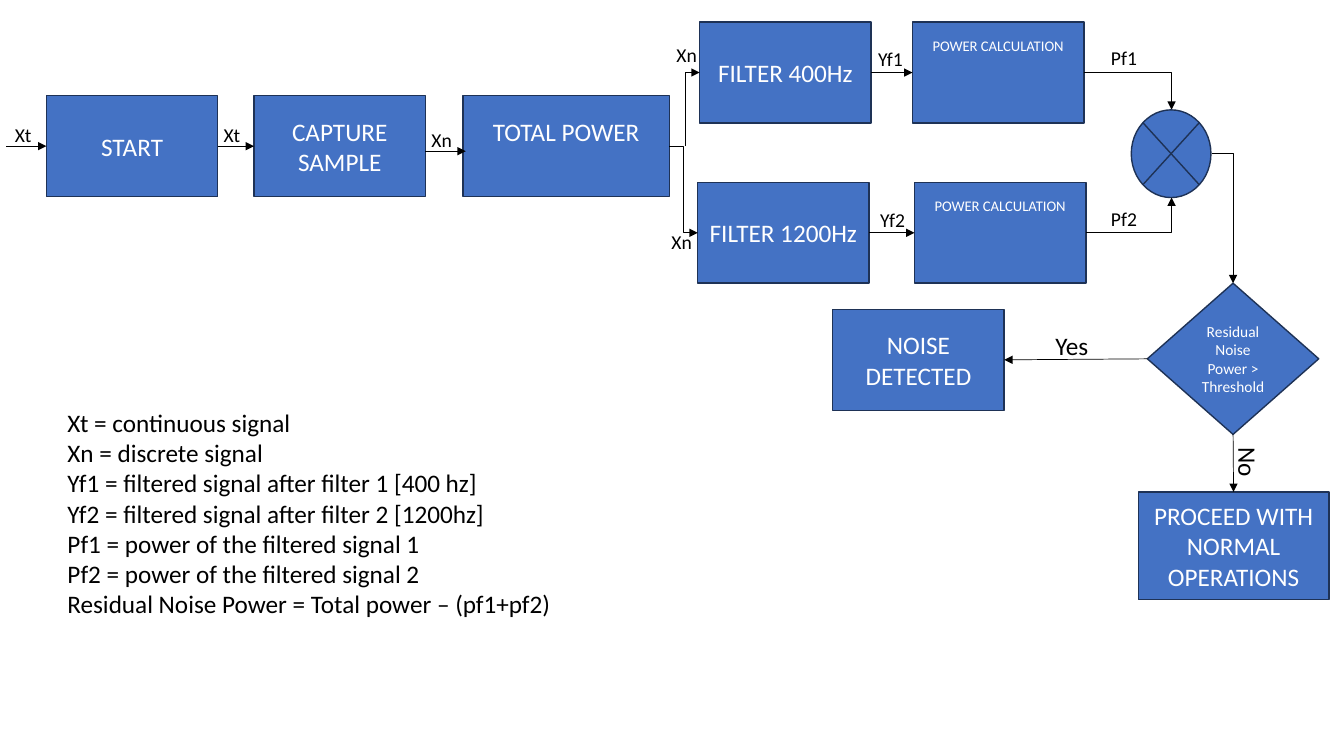
from lxml.etree import SubElement
from pptx import Presentation
from pptx.dml.color import RGBColor
from pptx.enum.shapes import MSO_CONNECTOR as Connector, MSO_SHAPE as Shape
from pptx.enum.text import MSO_ANCHOR as Anchor, MSO_AUTO_SIZE as AutoSize, PP_ALIGN as Align
from pptx.oxml.ns import qn
from pptx.util import Inches, Pt

FONT = "Calibri"
BLUE, NAVY, WHITE, BLACK = "4472C4", "1E3256", "FFFFFF", "000000"
STEP_W, STEP_H = 1.7, 1
TOP, LEFT, BOTTOM, RIGHT = range(4)
LEGEND = [
    "Xt = continuous signal",
    "Xn = discrete signal",
    "Yf1 = filtered signal after filter 1 [400 hz]",
    "Yf2 = filtered signal after filter 2 [1200hz]",
    "Pf1 = power of the filtered signal 1",
    "Pf2 = power of the filtered signal 2",
    "Residual Noise Power = Total power – (pf1+pf2)",
]


def color(value):
    return RGBColor.from_string(value)


def style_text(frame, size, ink, align):
    for paragraph in frame.paragraphs:
        paragraph.alignment = align
        for run in paragraph.runs:
            run.font.name = FONT
            run.font.size = Pt(size)
            run.font.color.rgb = color(ink)


def add_node(slide, left, top, text="", width=STEP_W, height=STEP_H, size=18,
             kind=Shape.FLOWCHART_PROCESS, space_below=0.05):
    node = slide.shapes.add_shape(kind, Inches(left), Inches(top), Inches(width), Inches(height))
    node.shadow.inherit = False
    node.fill.solid()
    node.fill.fore_color.rgb = color(BLUE)
    node.line.color.rgb = color(NAVY)
    node.line.width = Pt(1)
    if text:
        frame = node.text_frame
        frame.text = text
        frame.word_wrap = True
        frame.vertical_anchor = Anchor.MIDDLE
        frame.margin_bottom = Inches(space_below)
        style_text(frame, size, WHITE, Align.CENTER)
    return node


def add_label(slide, left, top, text, width=0.45, height=0.34, size=14, rotation=0):
    label = slide.shapes.add_textbox(Inches(left), Inches(top), Inches(width), Inches(height))
    label.rotation = rotation
    frame = label.text_frame
    frame.text = text
    frame.word_wrap = False
    frame.auto_size = AutoSize.SHAPE_TO_FIT_TEXT
    style_text(frame, size, BLACK, Align.LEFT)


def add_arrow(slide, start, end, kind=Connector.STRAIGHT, preset=None):
    arrow = slide.shapes.add_connector(kind, *map(Inches, start + end))
    arrow.line.color.rgb = color(BLACK)
    arrow.line.width = Pt(0.5)
    properties = arrow._element.spPr
    SubElement(arrow.line._get_or_add_ln(), qn("a:tailEnd"), type="triangle")
    SubElement(properties, qn("a:effectLst"))
    if preset:
        properties.find(qn("a:prstGeom")).set("prst", preset)
    return arrow


def add_corner(slide, start, end):
    return add_arrow(slide, start, end, Connector.ELBOW, "bentConnector2")


def add_rising_corner(slide, start, end):
    middle_x, middle_y = (start[0] + end[0]) / 2, (start[1] + end[1]) / 2
    half_run, half_rise = (end[0] - start[0]) / 2, (start[1] - end[1]) / 2
    corner = add_corner(slide, (middle_x + half_rise, middle_y + half_run),
                        (middle_x - half_rise, middle_y - half_run))
    corner._element.spPr.find(qn("a:xfrm")).set("rot", str(90 * 60000))


def join(slide, source, source_side, target, target_side):
    arrow = add_arrow(slide, (0, 0), (1, 1))
    arrow.begin_connect(source, source_side)
    arrow.end_connect(target, target_side)


def build_input_chain(slide, left, top):
    axis = top + STEP_H / 2
    start = add_node(slide, left, top, "START")
    capture = add_node(slide, left + 2.06, top, "CAPTURE SAMPLE")
    add_node(slide, left + 4.13, top, "TOTAL POWER", width=2.05, space_below=0.35)
    add_arrow(slide, (left - 0.4, axis), (left, axis)).end_connect(start, LEFT)
    join(slide, start, RIGHT, capture, LEFT)
    add_arrow(slide, (left + 3.76, axis + 0.05), (left + 4.16, axis + 0.05))
    add_label(slide, left - 0.41, top + 0.22, "Xt", width=0.37)
    add_label(slide, left + 1.66, top + 0.22, "Xt", width=0.37)
    add_label(slide, left + 3.72, top + 0.27, "Xn", width=0.41)


def build_filter_branch(slide, left, top, power_left, name, number, junction):
    axis = top + STEP_H / 2
    band = add_node(slide, left, top, name)
    power = add_node(slide, power_left, top, "POWER CALCULATION", size=10.5, space_below=0.58)
    join(slide, band, RIGHT, power, LEFT)
    add_corner(slide, (power_left + STEP_W, axis), junction)
    add_label(slide, power_left - 0.44, top + 0.2, f"Yf{number}")
    add_label(slide, 10.92, top + 0.19, f"Pf{number}", width=0.46)


def build_split(slide, left, top):
    add_arrow(slide, (left, top), (left + 0.28, top + 0.86), Connector.ELBOW)
    add_rising_corner(slide, (left + 0.16, top), (left + 0.3, top - 0.73))
    add_label(slide, left - 0.03, top - 1.07, "Xn", width=0.41)
    add_label(slide, left - 0.08, top + 0.78, "Xn", width=0.41)


def build_decision(slide, left, top):
    center = left + STEP_W / 2
    add_node(slide, left - 0.16, top - 1.72, width=0.79, height=0.87,
             kind=Shape.FLOWCHART_SUMMING_JUNCTION)
    threshold = add_node(slide, left, top, "Residual Noise Power > Threshold", height=1.5,
                         size=11, kind=Shape.FLOWCHART_DECISION)
    proceed = add_node(slide, center - 0.94, top + 2.07, "PROCEED WITH NORMAL OPERATIONS",
                       width=1.89, height=1.07)
    noise = add_node(slide, left - 3.12, top + 0.26, "NOISE DETECTED")
    add_corner(slide, (left + 0.64, top - 1.29), (center, top))
    join(slide, threshold, BOTTOM, proceed, TOP)
    join(slide, threshold, LEFT, noise, RIGHT)
    add_label(slide, left - 1.01, top + 0.42, "Yes", width=0.53, height=0.4, size=18)
    add_label(slide, left + 0.75, top + 1.58, "No", width=0.5, height=0.4, size=18, rotation=90)


def build_legend(slide, left, top):
    add_label(slide, left, top, "\n".join(LEGEND), width=5.05, height=2.23, size=18)


def main():
    presentation = Presentation()
    presentation.slide_width = Inches(13.33)
    presentation.slide_height = Inches(7.5)
    slide = presentation.slides.add_slide(presentation.slide_layouts[6])
    build_input_chain(slide, 0.46, 0.95)
    build_filter_branch(slide, 6.94, 0.22, 9.05, "FILTER 400Hz", 1, (11.62, 1.09))
    build_filter_branch(slide, 6.92, 1.81, 9.07, "FILTER 1200Hz", 2, (11.62, 1.96))
    build_split(slide, 6.64, 1.45)
    build_decision(slide, 11.38, 2.81)
    build_legend(slide, 0.57, 3.99)
    presentation.save("out.pptx")


if __name__ == "__main__":
    main()
